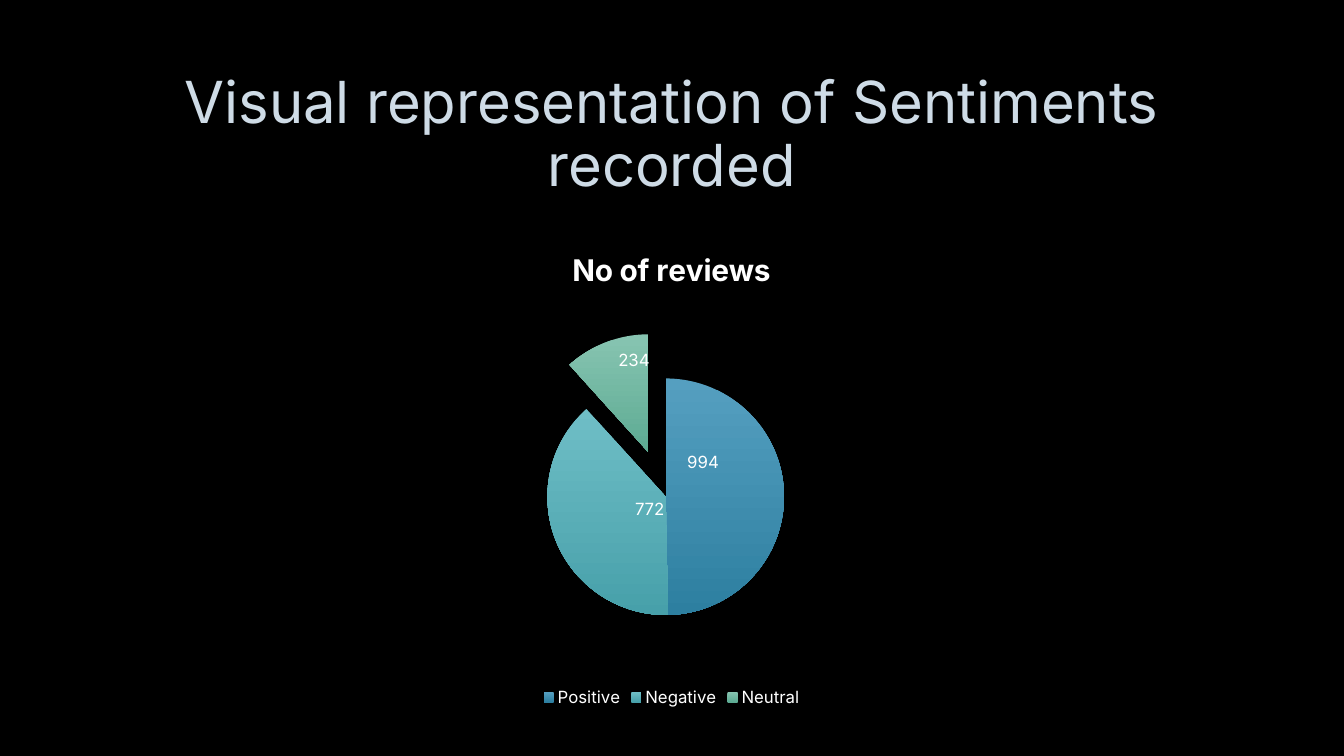
"""Build a slide with a pie chart of recorded review sentiments."""
import dataclasses
import typing

import lxml.etree
import pptx
import pptx.chart.data
import pptx.dml.color
import pptx.enum.chart
import pptx.enum.text
import pptx.oxml
import pptx.oxml.ns
import pptx.util

Inches = pptx.util.Inches
Align = pptx.enum.text.PP_ALIGN


@dataclasses.dataclass(frozen=True)
class Theme:
    face: str = "Inter"
    back: str = "000000"
    head: str = "CEDBE6"
    edge: str = "404040"
    ink: str = "FFFFFF"
    big: float = 41.4
    mid: float = 21.3
    small: float = 12
    base: float = 10


@dataclasses.dataclass(frozen=True)
class Slice:
    name: str
    count: int
    top: str
    end: str
    shift: tuple[float, float]
    burst: int = 0


THEME = Theme()
TITLE = "Visual representation of Sentiments recorded"
LABEL = "No of reviews"
SLICES = [
    Slice("Positive", 994, "559FC0", "2D7FA0", (-0.09, -0.07)),
    Slice("Negative", 772, "6FBEC6", "47A0AA", (0.1, -0.09)),
    Slice("Neutral", 234, "87C4B1", "5DAB93", (0.04, 0.07), 40),
]


def color(code: str) -> pptx.dml.color.RGBColor:
    """Turn a hex code into a colour."""
    return pptx.dml.color.RGBColor.from_string(code)


def style(font: typing.Any, size: float, ink: str = THEME.ink, bold: bool = False) -> None:
    """Set the face, size, colour and weight of a font."""
    font.name, font.size, font.bold = THEME.face, pptx.util.Pt(size), bold
    font.color.rgb = color(ink)


def write(frame: typing.Any, text: str, *, size: float, ink: str = THEME.ink,
          bold: bool = False, space: float | None = None) -> typing.Any:
    """Put one centred line of formatted text in a frame and return its run."""
    para = frame.paragraphs[0]
    para.alignment = Align.CENTER
    para.line_spacing = space
    run = para.add_run()
    run.text = text
    style(run.font, size, ink, bold)
    return run


def node(body: str) -> typing.Any:
    """Parse a fragment that uses the chart and drawing prefixes."""
    tag, rest = body[1:].split(">", 1)
    names = pptx.oxml.ns.nsdecls("a", "c")
    return pptx.oxml.parse_xml(f"<{tag} {names}>{rest}")


def layout(**parts: float | str) -> typing.Any:
    """Make a manual chart layout."""
    inner = "".join(f'<c:{key} val="{val}"/>' for key, val in parts.items())
    return node(f"<c:layout><c:manualLayout>{inner}</c:manualLayout></c:layout>")


def heading(slide: typing.Any) -> None:
    """Draw the slide title with its faint outline."""
    frame = slide.shapes.add_textbox(
        Inches(1), Inches(0.66), Inches(11.32), Inches(1.38)).text_frame
    frame.word_wrap = True
    frame.vertical_anchor = pptx.enum.text.MSO_ANCHOR.MIDDLE
    run = write(frame, TITLE, size=THEME.big, ink=THEME.head, space=0.9)
    line = node(f'<a:ln><a:solidFill><a:srgbClr val="{THEME.edge}">'
                '<a:alpha val="10000"/></a:srgbClr></a:solidFill>'
                '<a:prstDash val="solid"/></a:ln>')
    line.set("w", str(pptx.util.Pt(0.75)))
    run.font._element.insert(0, line)


def paint(series: typing.Any, spot: int, part: Slice) -> None:
    """Fill one slice, pull it out and place its label."""
    point = series.points[spot]
    fill = point.format.fill
    fill.gradient()
    fill.gradient_angle = 270
    for stop, code in zip(fill.gradient_stops, (part.top, part.end)):
        stop.color.rgb = color(code)
    if part.burst:
        shape = series._element.xpath(f"c:dPt[c:idx/@val={spot}]/c:spPr")[0]
        burst = lxml.etree.Element(pptx.oxml.ns.qn("c:explosion"), val=str(part.burst))
        shape.addprevious(burst)
    label = point.data_label
    style(label.font, THEME.small)
    label.position = pptx.enum.chart.XL_LABEL_POSITION.BEST_FIT
    left, top = part.shift
    mark = series._element.xpath(f"c:dLbls/c:dLbl/c:idx[@val={spot}]")[0]
    mark.addnext(layout(x=left, y=top))


def pie(slide: typing.Any) -> None:
    """Draw the pie chart with its title, labels and legend."""
    data = pptx.chart.data.CategoryChartData()
    data.categories = [part.name for part in SLICES]
    data.add_series(LABEL, [part.count for part in SLICES])
    chart = slide.shapes.add_chart(
        pptx.enum.chart.XL_CHART_TYPE.PIE, Inches(1), Inches(2.27),
        Inches(11.32), Inches(4.79), data).chart
    style(chart.font, THEME.base)
    chart.has_title = True
    write(chart.chart_title.text_frame, LABEL, size=THEME.mid, bold=True)
    chart.chart_title.include_in_layout = False
    chart.has_legend = True
    chart.legend.position = pptx.enum.chart.XL_LEGEND_POSITION.BOTTOM
    chart.legend.include_in_layout = False
    style(chart.legend.font, THEME.small)
    plot = chart.plots[0]
    plot.vary_by_categories = True
    series = plot.series[0]
    labels = series.data_labels
    labels.show_value = True
    labels.position = pptx.enum.chart.XL_LABEL_POSITION.BEST_FIT
    style(labels.font, THEME.small)
    for spot, part in enumerate(SLICES):
        paint(series, spot, part)
    area = chart.element.xpath("c:chart/c:plotArea")[0]
    for lead in area.xpath(".//c:showLeaderLines"):
        lead.set("val", "0")
    for old in area.xpath("c:layout"):
        area.remove(old)
    area.insert(0, layout(layoutTarget="inner", xMode="edge", yMode="edge",
                          x=0.39, y=0.31, w=0.21, h=0.49))


def main() -> None:
    """Build and save the slide."""
    deck = pptx.Presentation()
    deck.slide_width, deck.slide_height = Inches(13.33), Inches(7.5)
    slide = deck.slides.add_slide(deck.slide_layouts[6])
    slide.background.fill.solid()
    slide.background.fill.fore_color.rgb = color(THEME.back)
    heading(slide)
    pie(slide)
    deck.save("out.pptx")


if __name__ == "__main__":
    main()
